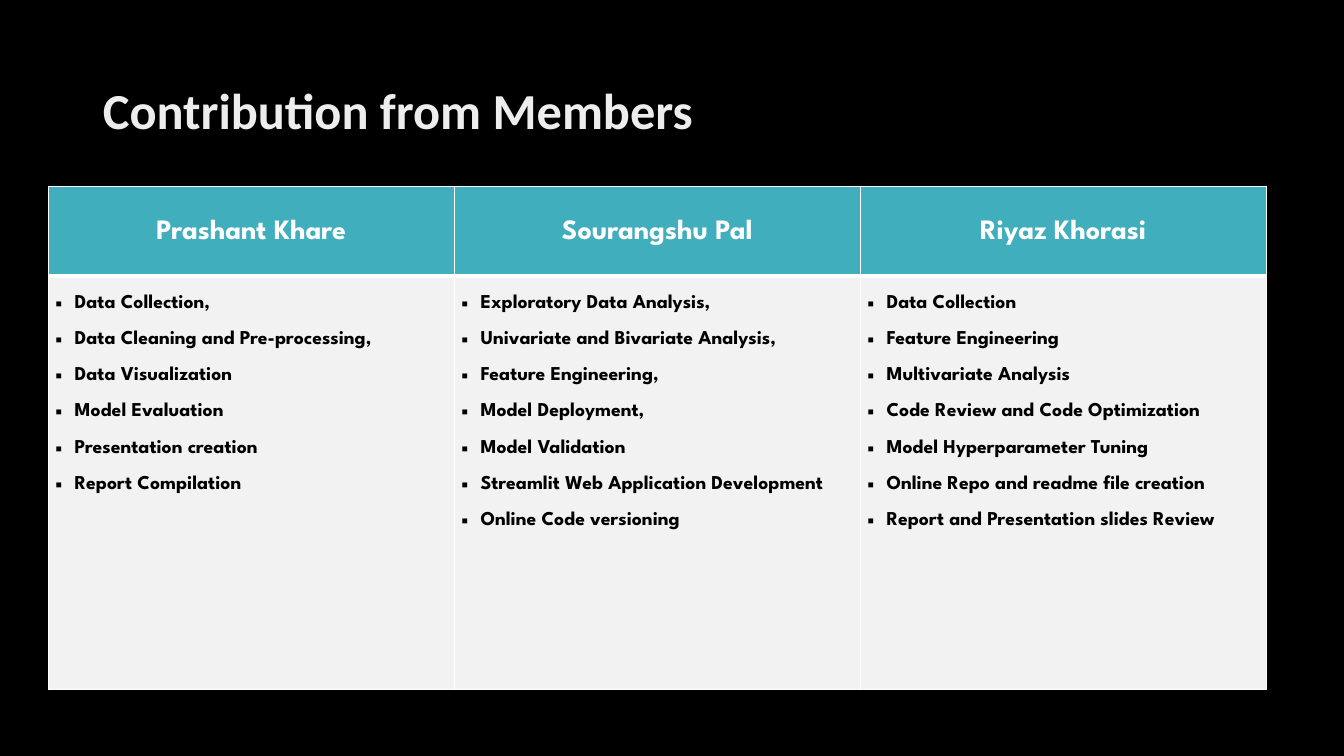
"""Build the slide listing what each team member contributed."""
from lxml.etree import SubElement
from pptx import Presentation
from pptx.dml.color import RGBColor
from pptx.enum.text import MSO_ANCHOR as Anchor, PP_ALIGN as Align
from pptx.oxml.ns import qn
from pptx.util import Inches, Pt

MEMBERS = {
    "Prashant Khare": [
        "Data Collection,",
        "Data Cleaning and Pre-processing,",
        "Data Visualization",
        "Model Evaluation",
        "Presentation creation",
        "Report Compilation",
    ],
    "Sourangshu Pal": [
        "Exploratory Data Analysis,",
        "Univariate and Bivariate Analysis,",
        "Feature Engineering,",
        "Model Deployment,",
        "Model Validation",
        "Streamlit Web Application Development",
        "Online Code versioning",
    ],
    "Riyaz Khorasi": [
        "Data Collection",
        "Feature Engineering",
        "Multivariate Analysis",
        "Code Review and Code Optimization",
        "Model Hyperparameter Tuning",
        "Online Repo and readme file creation",
        "Report and Presentation slides Review",
    ],
}


def paint(fill, color):
    fill.solid()
    fill.fore_color.rgb = RGBColor.from_string(color)


def set_font(paragraph, name, size, color):
    paragraph.font.name = name
    paragraph.font.size = Pt(size)
    paragraph.font.bold = True
    paint(paragraph.font.fill, color)


prs = Presentation()
prs.slide_width, prs.slide_height = Inches(13.33), Inches(7.5)
slide = prs.slides.add_slide(prs.slide_layouts[5])
paint(slide.background.fill, "000000")

title = slide.shapes.title
title.left, title.top = Inches(0.92), Inches(0.4)
title.width, title.height = Inches(11.5), Inches(1.45)
title.text_frame.text = "Contribution from Members"
title.text_frame.vertical_anchor = Anchor.MIDDLE
heading = title.text_frame.paragraphs[0]
heading.alignment = Align.LEFT
heading.line_spacing = 0.9
set_font(heading, "Calibri", 36, "EDEDED")

contributions = slide.shapes.add_table(
    2, len(MEMBERS), Inches(0.48), Inches(1.85), Inches(12.08), Inches(4.99)
).table
contributions.rows[0].height = Inches(0.89)
contributions.rows[1].height = Inches(4.1)

for col, (member, tasks) in enumerate(MEMBERS.items()):
    name_cell, task_cell = contributions.cell(0, col), contributions.cell(1, col)
    for cell, color, bottom in ((name_cell, "41AEBD", 3), (task_cell, "F2F2F2", 1)):
        cell.margin_left = cell.margin_right = Inches(0.07)
        cell.margin_top = cell.margin_bottom = 0
        top = 4 - bottom if cell is task_cell else 1
        for side, width in (("L", 1), ("R", 1), ("T", top), ("B", bottom)):
            border = SubElement(cell._tc.get_or_add_tcPr(), qn(f"a:ln{side}"), w=str(Pt(width)))
            SubElement(SubElement(border, qn("a:solidFill")), qn("a:srgbClr"), val="FFFFFF")
        paint(cell.fill, color)

    name_cell.text = member
    name_cell.vertical_anchor = Anchor.MIDDLE
    name = name_cell.text_frame.paragraphs[0]
    name.alignment = Align.CENTER
    name.line_spacing = 1.15
    set_font(name, "League Spartan", 20, "FFFFFF")

    task_cell.text = "\n".join(tasks)
    for task in task_cell.text_frame.paragraphs:
        task.line_spacing = 2.0
        props = task._p.get_or_add_pPr()
        props.set("marL", str(Inches(0.19)))
        props.set("indent", str(-Inches(0.19)))
        SubElement(props, qn("a:buFont"), typeface="Arial")
        SubElement(props, qn("a:buChar"), char="▪")
        set_font(task, "League Spartan", 14, "000000")

prs.save("out.pptx")
